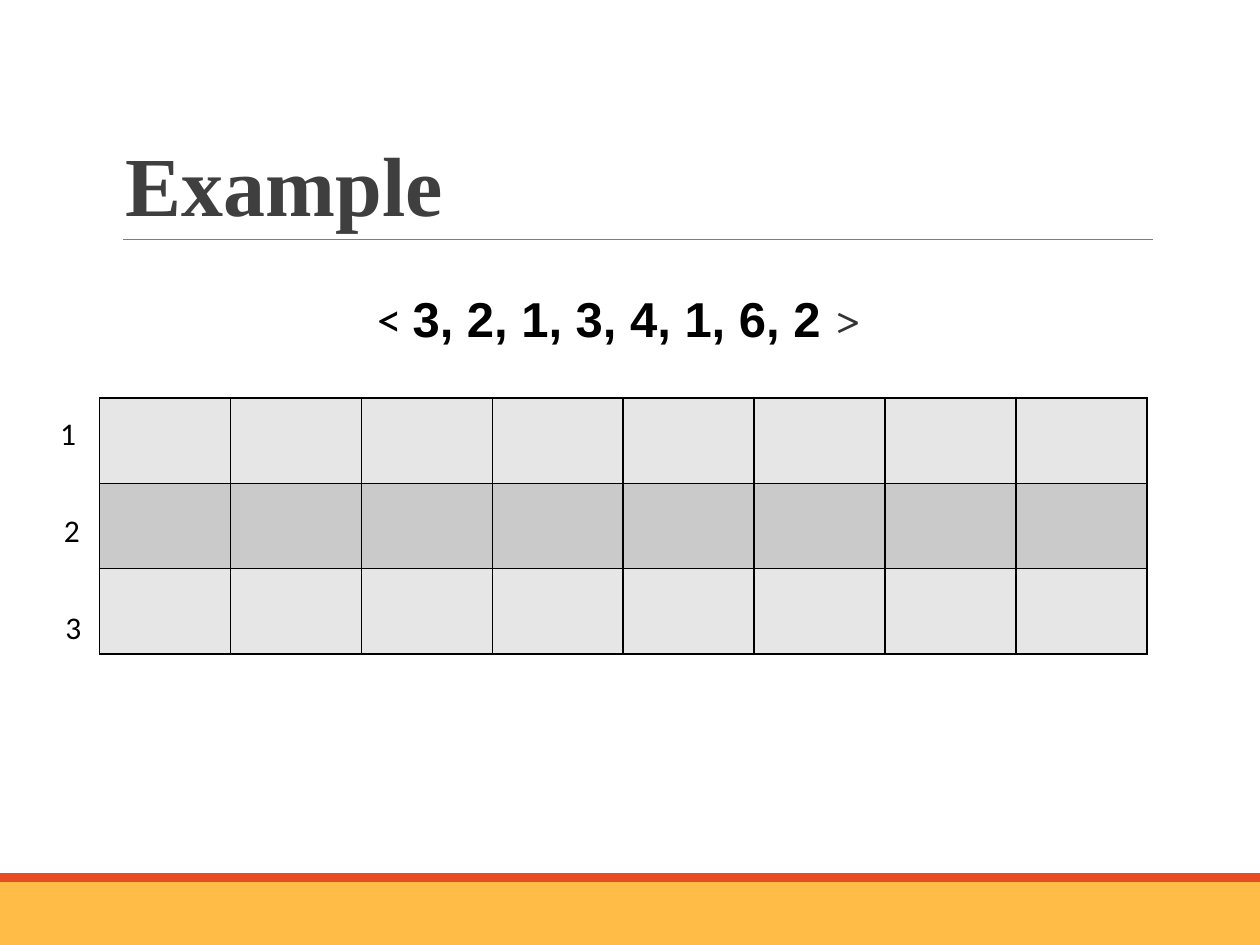
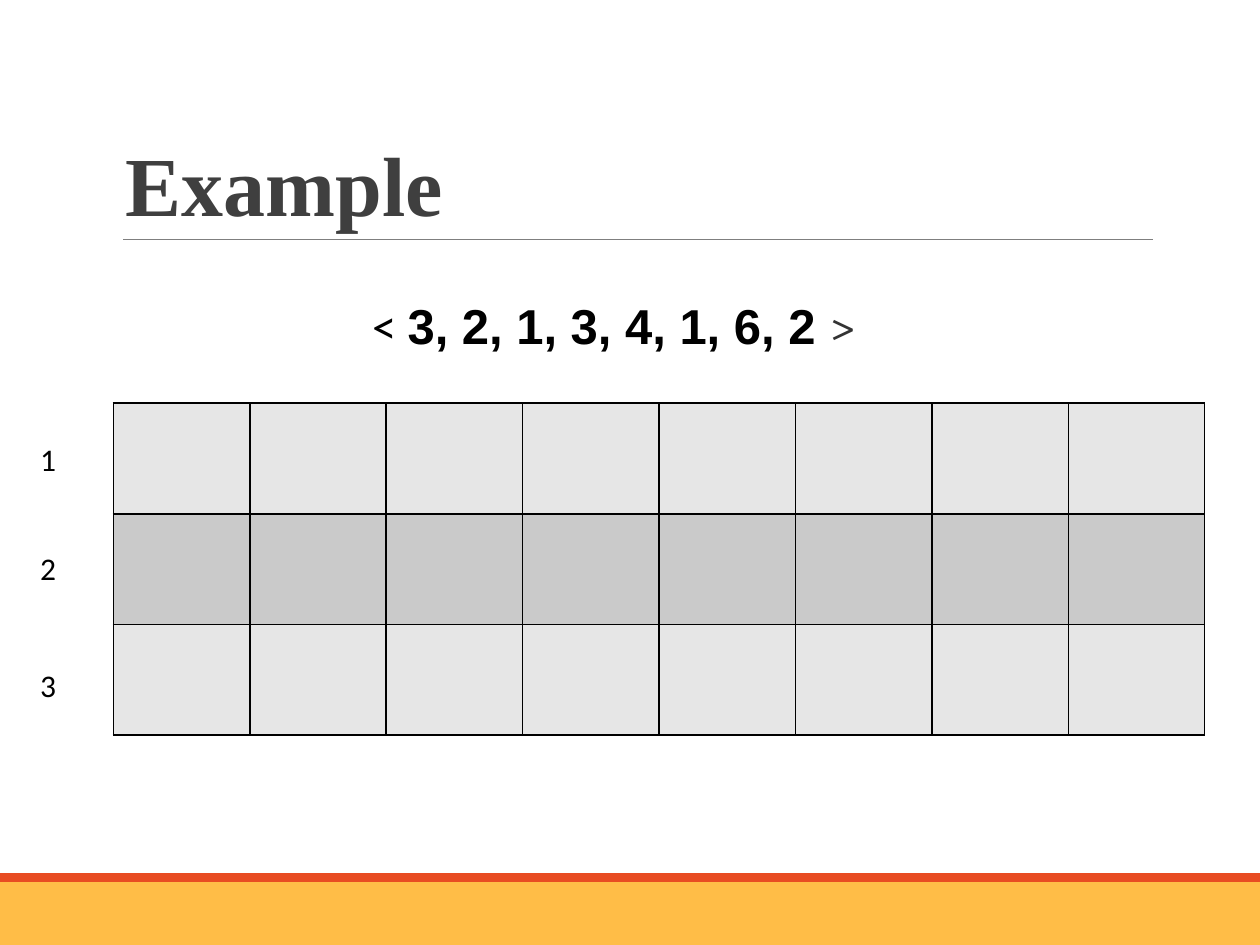
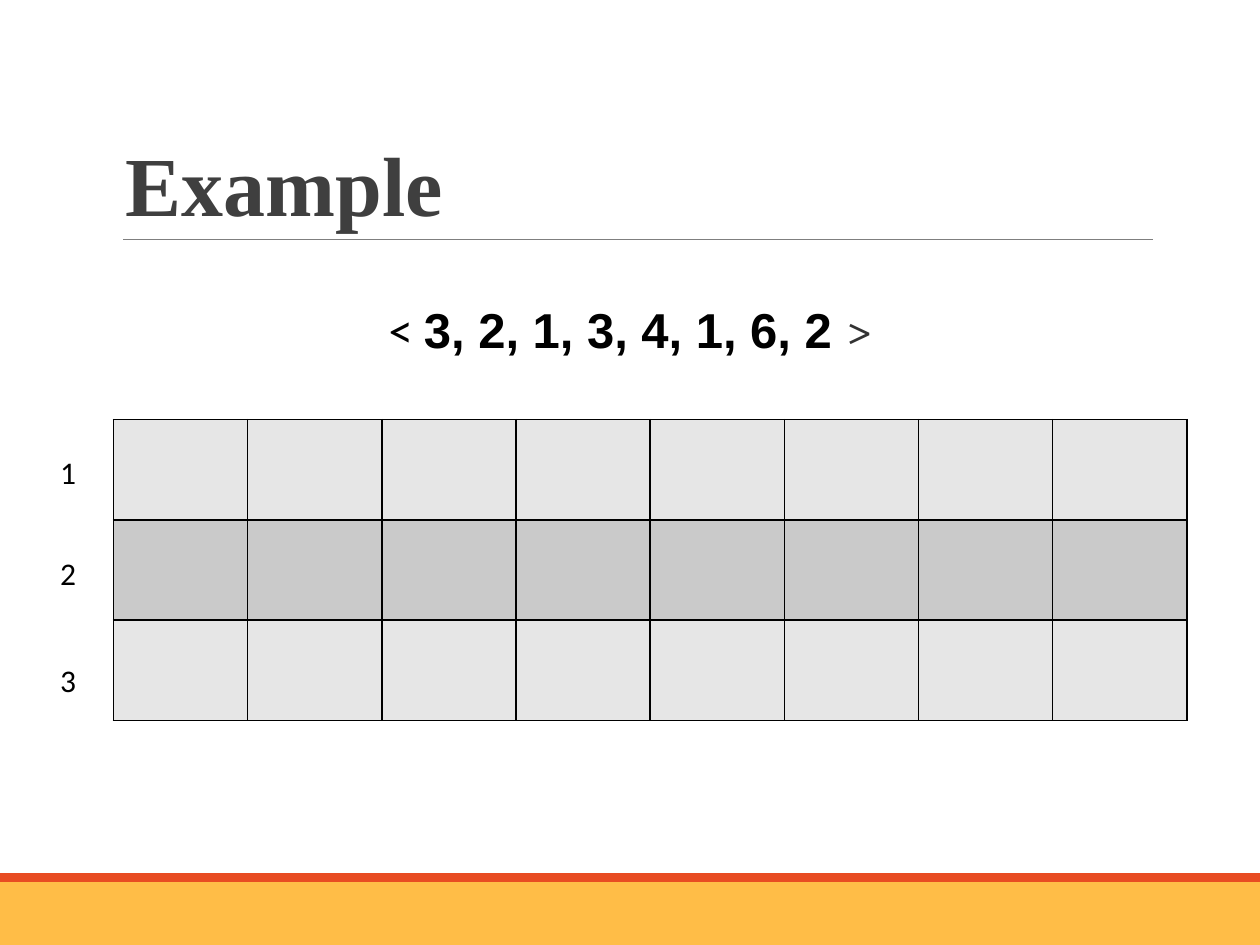
from lxml.etree import SubElement
from pptx import Presentation
from pptx.dml.color import RGBColor
from pptx.enum.shapes import MSO_CONNECTOR, MSO_SHAPE
from pptx.enum.text import MSO_ANCHOR, PP_ALIGN
from pptx.oxml.ns import qn
from pptx.util import Inches, Pt

# Grid: 100 columns by 75 rows on a 10 by 7.5 inch page
COLUMNS, ROWS = 100, 75
BLACK = "000000"
TABLE_COLUMNS, TABLE_ROWS = 8, 3
ROW_FILLS = ("E6E6E6", "CACACA")

SEQUENCE = (
    ("< ", "Calibri", BLACK, False),
    ("3, 2, 1, 3, 4, 1, 6, 2 ", "Arial", BLACK, True),
    (">", "Cambria", "333333", False),
)

# Each page: sequence box, table corner, cell size, label corners
PAGES = (
    {"sequence": (7.6, 22.4, 83.1, 5.7), "corner": (7.9, 31.6),
     "cell": (10.39, 6.77), "labels": ((3.8, 32.4), (4.1, 40.1), (4.2, 47.8))},
    {"sequence": (19.8, 23, 57.9, 5.7), "corner": (9, 32),
     "cell": (10.83, 8.78), "labels": ((2.2, 34.4), (2.2, 43.1), (2.2, 52.4))},
    {"sequence": (19.7, 23.3, 60.7, 5.7), "corner": (9, 33.3),
     "cell": (10.65, 7.96), "labels": ((3.8, 35.5), (3.8, 43.5), (3.8, 52))},
)


def color(hex_string):
    return RGBColor.from_string(hex_string)


class Painter:
    """Holds the deck, its style and the current page."""

    def __init__(self):
        self.deck = Presentation()
        self.deck.slide_width, self.deck.slide_height = Inches(10), Inches(7.5)
        self.page = None

    def across(self, columns):
        return round(self.deck.slide_width * columns / COLUMNS)

    def down(self, rows):
        return round(self.deck.slide_height * rows / ROWS)

    def place(self, left, top, width, height):
        return (self.across(left), self.down(top),
                self.across(width), self.down(height))

    def band(self, top, height, fill):
        shape = self.page.shapes.add_shape(
            MSO_SHAPE.RECTANGLE, *self.place(0, top, COLUMNS, height))
        shape.shadow.inherit = False
        shape.fill.solid()
        shape.fill.fore_color.rgb = color(fill)
        shape.line.fill.background()

    def rule(self, start, end, row):
        line = self.page.shapes.add_connector(
            MSO_CONNECTOR.STRAIGHT, self.across(start), self.down(row),
            self.across(end), self.down(row))
        line.line.color.rgb = color("7F7F7F")
        line.line.width = Pt(0.75)
        SubElement(line._element.spPr, qn("a:effectLst"))

    def text(self, area, spans, size, align=PP_ALIGN.LEFT,
             anchor=MSO_ANCHOR.TOP, spacing=1.0):
        box = self.page.shapes.add_textbox(*self.place(*area))
        frame = box.text_frame
        frame.word_wrap = True
        frame.vertical_anchor = anchor
        para = frame.paragraphs[0]
        para.alignment, para.line_spacing = align, spacing
        for words, font, ink, bold in spans:
            span = para.add_run()
            span.text = words
            span.font.name, span.font.size = font, Pt(size)
            span.font.bold = bold
            span.font.color.rgb = color(ink)

    def border(self, cell):
        properties = cell._tc.get_or_add_tcPr()
        for side in ("lnL", "lnR", "lnT", "lnB"):
            edge = SubElement(properties, qn(f"a:{side}"), w=str(Pt(1)))
            fill = SubElement(edge, qn("a:solidFill"))
            SubElement(fill, qn("a:srgbClr"), val=BLACK)

    def table(self, corner, cell_size):
        width, height = cell_size
        table = self.page.shapes.add_table(
            TABLE_ROWS, TABLE_COLUMNS,
            *self.place(*corner, width * TABLE_COLUMNS, height * TABLE_ROWS)).table
        table.first_row = table.horz_banding = False
        for column in table.columns:
            column.width = self.across(width)
        for number, row in enumerate(table.rows):
            row.height = self.down(height)
            for cell in row.cells:
                self.border(cell)
                cell.fill.solid()
                cell.fill.fore_color.rgb = color(ROW_FILLS[number % 2])

    def new_page(self, title):
        self.page = self.deck.slides.add_slide(self.deck.slide_layouts[6])
        # Footer bands, title rule and title
        self.band(70, 5, "FFBD47")
        self.band(69.3, 0.7, "E84C22")
        self.rule(9.8, 91.5, 19)
        self.text((9, 3.1, 82.5, 15.9),
                  [(title, "Times New Roman", "3F3F3F", True)], 48,
                  anchor=MSO_ANCHOR.BOTTOM, spacing=0.85)


def main():
    painter = Painter()
    for layout in PAGES:
        painter.new_page("Example")
        painter.table(layout["corner"], layout["cell"])
        painter.text(layout["sequence"], SEQUENCE, 28, PP_ALIGN.CENTER)
        # Row labels
        for number, (left, top) in enumerate(layout["labels"], 1):
            painter.text((left, top, 5, 4),
                         [(str(number), "Calibri", BLACK, False)], 18)
    painter.deck.save("out.pptx")


if __name__ == "__main__":
    main()
